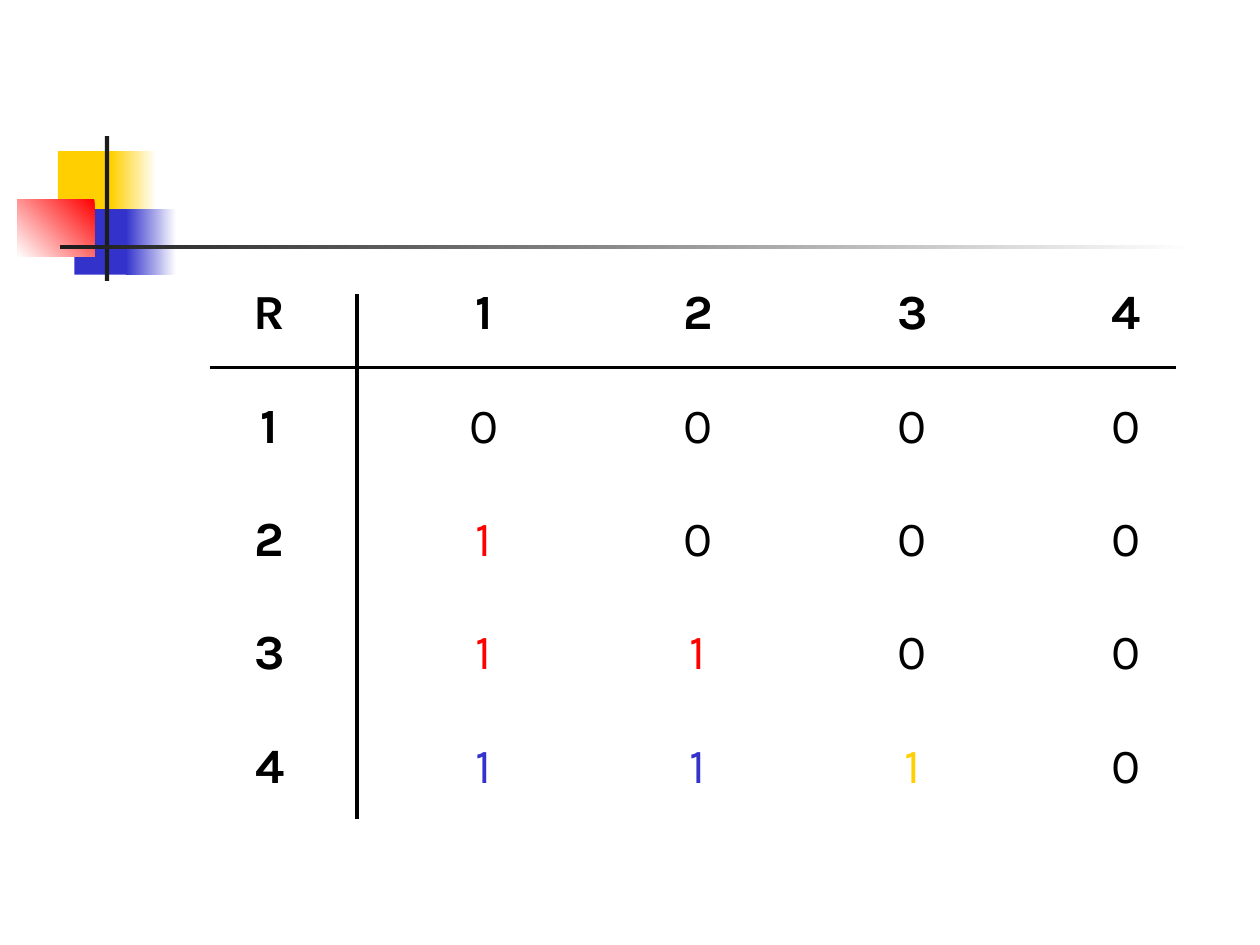
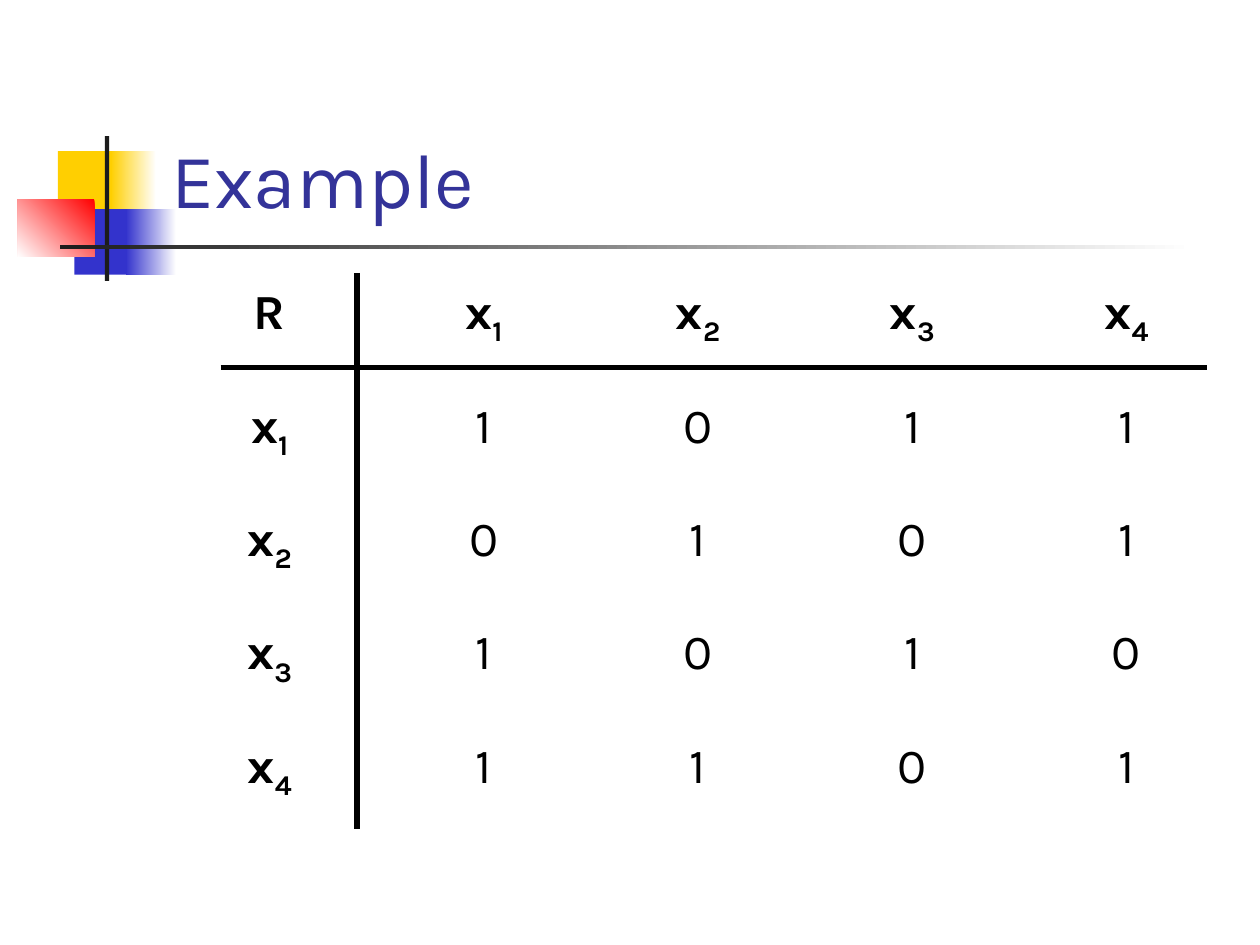
from dataclasses import dataclass

import pptx
import pptx.dml.color
import pptx.enum.shapes
import pptx.enum.text
import pptx.slide
import pptx.table
import pptx.util
from lxml import etree

Pt = pptx.util.Pt
RGBColor = pptx.dml.color.RGBColor

BLACK = RGBColor(0x00, 0x00, 0x00)
WHITE = RGBColor(0xFF, 0xFF, 0xFF)
CHARCOAL = RGBColor(0x1C, 0x1C, 0x1C)
YELLOW = RGBColor(0xFF, 0xCF, 0x01)
BLUE = RGBColor(0x33, 0x33, 0xCC)
RED = RGBColor(0xFF, 0x00, 0x00)
TITLE_BLUE = RGBColor(0x33, 0x33, 0x99)

FONT = "Karla"
TABLE_LEFT, TABLE_TOP = 92.88, 159.12
COLUMN_WIDTH, ROW_HEIGHT = 122.4, 64.8
DIVIDER_X, DIVIDER_Y = 204, 210


@dataclass(frozen=True)
class Block:
    """A decorative rectangle; with an end colour it fades, at a counter-clockwise angle."""
    left: float
    top: float
    width: float
    height: float
    color: RGBColor
    end_color: RGBColor | None = None
    angle: float = 180


@dataclass(frozen=True)
class Dividers:
    """Extents of the two lines that split the headers from the values."""
    top: float
    bottom: float
    left: float
    right: float
    weight: float


@dataclass(frozen=True)
class Matrix:
    """A square relation; value_colors maps (row, column) of a value to its colour."""
    labels: list[str]
    values: list[str]
    value_colors: dict[tuple[int, int], RGBColor]
    dividers: Dividers
    title: str = ""


BLOCKS = [
    Block(33.12, 86.4, 34.56, 37.44, YELLOW),
    Block(63.36, 86.4, 25.92, 37.44, WHITE, YELLOW),
    Block(42.48, 119.52, 33.12, 37.44, BLUE),
    Block(72, 119.52, 28.8, 37.44, WHITE, BLUE),
    Block(10.08, 113.76, 43.92, 33.12, RED, WHITE, 225),
    Block(59.9, 77.76, 2.5, 82.8, CHARCOAL),
    Block(34.56, 140.1, 648, 2.5, WHITE, CHARCOAL),
]

MATRICES = [
    Matrix(
        labels=["1", "2", "3", "4"],
        values=["0000", "1000", "1100", "1110"],
        value_colors={
            (2, 1): RED,
            (3, 1): RED, (3, 2): RED,
            (4, 1): BLUE, (4, 2): BLUE, (4, 3): YELLOW,
        },
        dividers=Dividers(top=168, bottom=468, left=120, right=672, weight=2.25),
    ),
    Matrix(
        labels=["x1", "x2", "x3", "x4"],
        values=["1011", "0101", "1010", "1101"],
        value_colors={},
        dividers=Dividers(top=156, bottom=474, left=126, right=690, weight=3),
        title="Example",
    ),
]


def add_block(page: pptx.slide.Slide, block: Block) -> None:
    shape = page.shapes.add_shape(
        pptx.enum.shapes.MSO_SHAPE.RECTANGLE,
        Pt(block.left), Pt(block.top), Pt(block.width), Pt(block.height),
    )
    shape.shadow.inherit = False
    shape.line.fill.background()
    if block.end_color is None:
        shape.fill.solid()
        shape.fill.fore_color.rgb = block.color
        return
    shape.fill.gradient()
    shape.fill.gradient_angle = block.angle
    for stop, color in zip(shape.fill.gradient_stops, (block.color, block.end_color)):
        stop.color.rgb = color


def add_title(page: pptx.slide.Slide, title: str) -> None:
    box = page.shapes.add_textbox(Pt(90.72), Pt(16.56), Pt(613.44), Pt(115.2))
    frame = box.text_frame
    frame.word_wrap = True
    frame.vertical_anchor = pptx.enum.text.MSO_ANCHOR.BOTTOM
    frame.text = title
    font = frame.paragraphs[0].font
    font.name, font.size = FONT, Pt(44)
    font.color.rgb = TITLE_BLUE


def fill_cell(cell: pptx.table._Cell, text: str, bold: bool, color: RGBColor) -> None:
    """Write the first character normally and any that follow as a subscript."""
    cell.fill.background()
    para = cell.text_frame.paragraphs[0]
    para.alignment = pptx.enum.text.PP_ALIGN.CENTER
    para.space_before = Pt(7)
    para.font.name, para.font.size, para.font.bold = FONT, Pt(28), bold
    para.font.color.rgb = color
    para.add_run().text = text[0]
    if text[1:]:
        span = para.add_run()
        span.text = text[1:]
        span._r.get_or_add_rPr().set("baseline", "-25000")


def add_matrix_table(page: pptx.slide.Slide, matrix: Matrix) -> None:
    rows = [["R", *matrix.labels]]
    rows += [[label, *values] for label, values in zip(matrix.labels, matrix.values)]
    size = len(rows)
    table = page.shapes.add_table(
        size, size, Pt(TABLE_LEFT), Pt(TABLE_TOP),
        Pt(size * COLUMN_WIDTH), Pt(size * ROW_HEIGHT),
    ).table
    table.first_row = table.horz_banding = False
    for row, texts in enumerate(rows):
        for column, text in enumerate(texts):
            is_header = row == 0 or column == 0
            color = matrix.value_colors.get((row, column), BLACK)
            fill_cell(table.cell(row, column), text, is_header, color)


def add_line(page: pptx.slide.Slide, start: tuple[float, float],
             end: tuple[float, float], weight: float) -> None:
    line = page.shapes.add_connector(
        pptx.enum.shapes.MSO_CONNECTOR.STRAIGHT,
        *(Pt(length) for length in (*start, *end)),
    )
    line.line.color.rgb = BLACK
    line.line.width = Pt(weight)
    properties = line._element.spPr
    etree.SubElement(properties, pptx.oxml.ns.qn("a:effectLst"))


def add_dividers(page: pptx.slide.Slide, dividers: Dividers) -> None:
    add_line(page, (DIVIDER_X, dividers.top), (DIVIDER_X, dividers.bottom), dividers.weight)
    add_line(page, (dividers.left, DIVIDER_Y), (dividers.right, DIVIDER_Y), dividers.weight)


def main() -> None:
    deck = pptx.Presentation()
    deck.slide_width, deck.slide_height = Pt(720), Pt(540)
    blank_layout = deck.slide_layouts[6]
    for matrix in MATRICES:
        page = deck.slides.add_slide(blank_layout)
        for block in BLOCKS:
            add_block(page, block)
        if matrix.title:
            add_title(page, matrix.title)
        add_matrix_table(page, matrix)
        add_dividers(page, matrix.dividers)
    deck.save("out.pptx")


if __name__ == "__main__":
    main()
